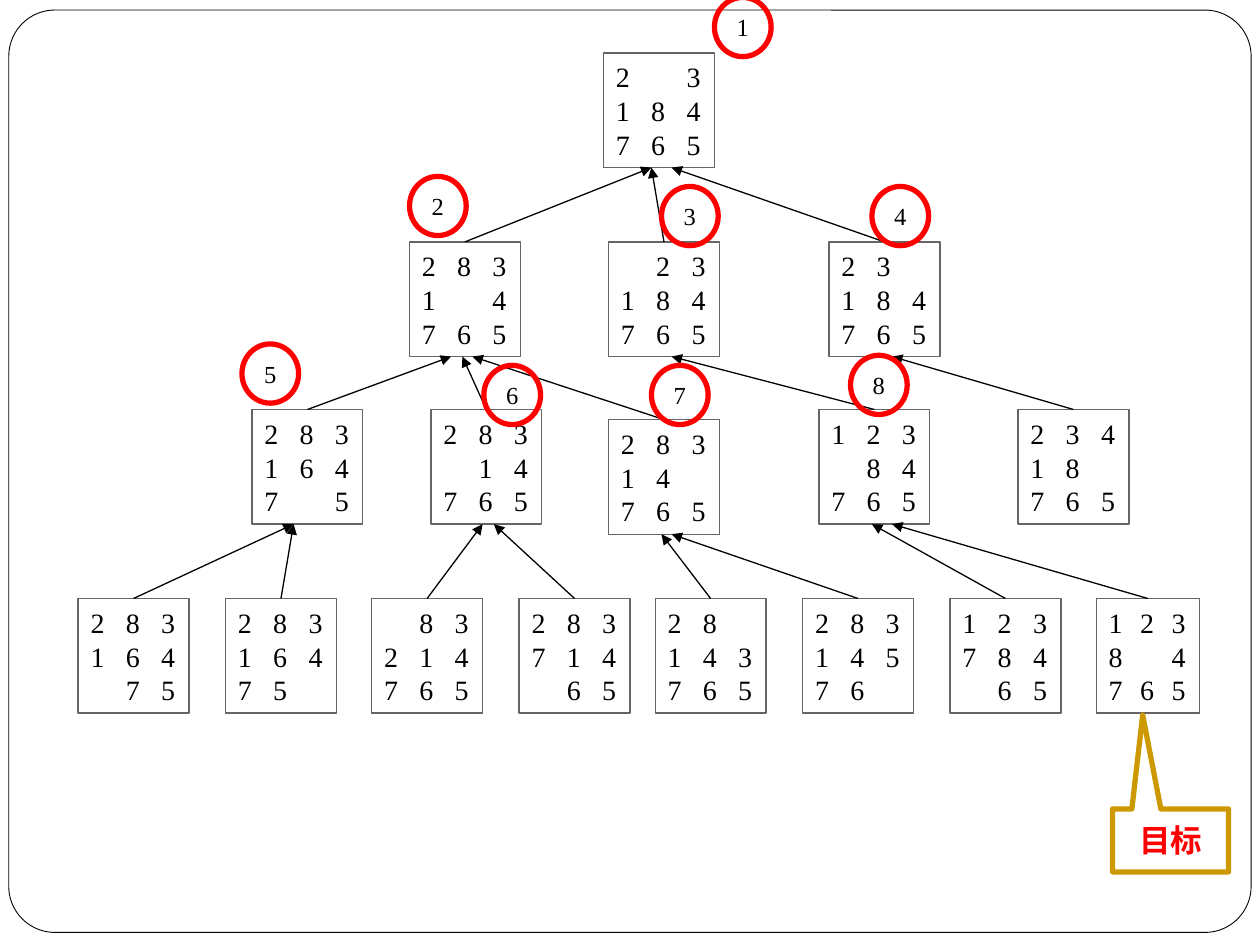
from dataclasses import dataclass
from typing import Optional

from lxml.etree import SubElement
from pptx import Presentation
from pptx.dml.color import RGBColor
from pptx.enum.shapes import MSO_CONNECTOR as Conn, MSO_SHAPE as Shape
from pptx.enum.text import MSO_ANCHOR as Anchor, PP_ALIGN as Align
from pptx.oxml.ns import qn
from pptx.util import Inches, Pt

COLORS = {"ink": "000000", "paper": "FFFFFF", "box": "696464", "red": "FF0000", "gold": "CC9900"}
FONT = "Times New Roman"
LEVELS = (0.42, 1.92, 3.25, 4.75)
BOX_H = 0.91


@dataclass(frozen=True)
class State:
    grid: str
    x: float
    y: float
    parent: Optional[int] = None
    hook_x: float = 0
    width: float = 0.88
    pitch: float = 0.28


@dataclass(frozen=True)
class Badge:
    label: str
    x: float
    y: float


STATES = (
    State("2 3/184/765", 4.79, LEVELS[0]),
    State("283/1 4/765", 3.25, LEVELS[1], 0, 5.17),
    State(" 23/184/765", 4.83, LEVELS[1], 0, 5.17),
    State("23/184/765", 6.58, LEVELS[1], 0, 5.33),
    State("283/164/7 5", 2, LEVELS[2], 1, 3.58),
    State("283/ 14/765", 3.42, LEVELS[2], 1, 3.67),
    State("283/14/765", 4.83, 3.33, 1, 3.75),
    State("123/ 84/765", 6.5, LEVELS[2], 2, 5.33),
    State("234/18/765", 8.08, LEVELS[2], 3, 7.08),
    State("283/164/ 75", 0.62, LEVELS[3], 4, 2.33),
    State("283/164/75", 1.79, LEVELS[3], 4, 2.33),
    State(" 83/214/765", 2.95, LEVELS[3], 5, 3.83),
    State("283/714/ 65", 4.12, LEVELS[3], 5, 3.92),
    State("28/143/765", 5.2, LEVELS[3], 6, 5.25),
    State("283/145/76", 6.37, LEVELS[3], 6, 5.33),
    State("123/784/ 65", 7.54, LEVELS[3], 7, 6.92),
    State("123/8 4/765", 8.7, LEVELS[3], 7, 7.08, 0.82, 0.25),
)

BADGES = (
    Badge("1", 5.67, -0.02),
    Badge("2", 3.25, 1.4),
    Badge("3", 5.25, 1.48),
    Badge("4", 6.92, 1.48),
    Badge("5", 1.92, 2.73),
    Badge("6", 3.84, 2.9),
    Badge("7", 5.17, 2.9),
    Badge("8", 6.75, 2.82),
)


def rgb(name: str) -> RGBColor:
    return RGBColor.from_string(COLORS[name])


def add_outline(s, kind, x: float, y: float, w: float, h: float, color: str, weight: float):
    sp = s.shapes.add_shape(kind, Inches(x), Inches(y), Inches(w), Inches(h))
    sp.shadow.inherit = False
    sp.fill.background()
    sp.line.color.rgb = rgb(color)
    sp.line.width = Pt(weight)
    return sp


def write(sp, lines: list[str], size: float, color: str = "ink",
          align=Align.CENTER, bold: bool = False, left: float = 0) -> None:
    tf = sp.text_frame
    tf.word_wrap = True
    tf.vertical_anchor = Anchor.MIDDLE
    tf.margin_left = Inches(left)
    tf.margin_right = tf.margin_top = tf.margin_bottom = 0
    tf.text = "\n".join(lines)
    for p in tf.paragraphs:
        p.alignment = align
        p.font.name = FONT
        p.font.size = Pt(size)
        p.font.bold = bold
        p.font.color.rgb = rgb(color)


def set_tab_stops(sp, pitch: float) -> None:
    for p in sp.text_frame.paragraphs:
        tabs = p._p.get_or_add_pPr().makeelement(qn("a:tabLst"))
        for column in (1, 2):
            SubElement(tabs, qn("a:tab"), pos=str(Inches(pitch * column)), algn="l")
        p._p.pPr.insert_element_before(tabs, "a:defRPr", "a:extLst")


def add_state(s, state: State):
    sp = add_outline(s, Shape.RECTANGLE, state.x, state.y, state.width, BOX_H, "box", 0.75)
    rows = ["\t".join(row.replace(" ", "")) if " " not in row
            else "\t".join(cell.strip() for cell in row)
            for row in state.grid.split("/")]
    write(sp, rows, 16, align=Align.LEFT, left=0.1)
    set_tab_stops(sp, state.pitch)
    return sp


def add_arrow(s, child, state: State) -> None:
    bottom = STATES[state.parent].y + BOX_H
    line = s.shapes.add_connector(Conn.STRAIGHT, child.left, child.top,
                                  Inches(state.hook_x), Inches(bottom))
    line.begin_connect(child, 0)
    line.line.color.rgb = rgb("ink")
    line.line.width = Pt(0.75)
    SubElement(line.line._get_or_add_ln(), qn("a:tailEnd"), type="triangle")
    SubElement(line._element.spPr, qn("a:effectLst"))


def add_badge(s, badge: Badge) -> None:
    sp = add_outline(s, Shape.OVAL, badge.x, badge.y, 0.45, 0.47, "red", 3)
    write(sp, [badge.label], 14)


def add_goal(s) -> None:
    sp = add_outline(s, Shape.RECTANGULAR_CALLOUT, 8.83, 6.42, 0.92, 0.5, "gold", 3)
    sp.adjustments[0] = -0.24
    sp.adjustments[1] = -1.99
    write(sp, ["目标"], 18, "red", bold=True)


def main() -> None:
    prs = Presentation()
    prs.slide_width, prs.slide_height = Inches(10), Inches(7.5)
    s = prs.slides.add_slide(prs.slide_layouts[6])

    frame = add_outline(s, Shape.ROUNDED_RECTANGLE, 0.07, 0.08, 9.86, 7.32, "ink", 0.5)
    frame.adjustments[0] = 0.05
    frame.fill.solid()
    frame.fill.fore_color.rgb = rgb("paper")

    for state in STATES:
        sp = add_state(s, state)
        if state.parent is not None:
            add_arrow(s, sp, state)
    for badge in BADGES:
        add_badge(s, badge)
    add_goal(s)

    prs.save("out.pptx")


if __name__ == "__main__":
    main()
